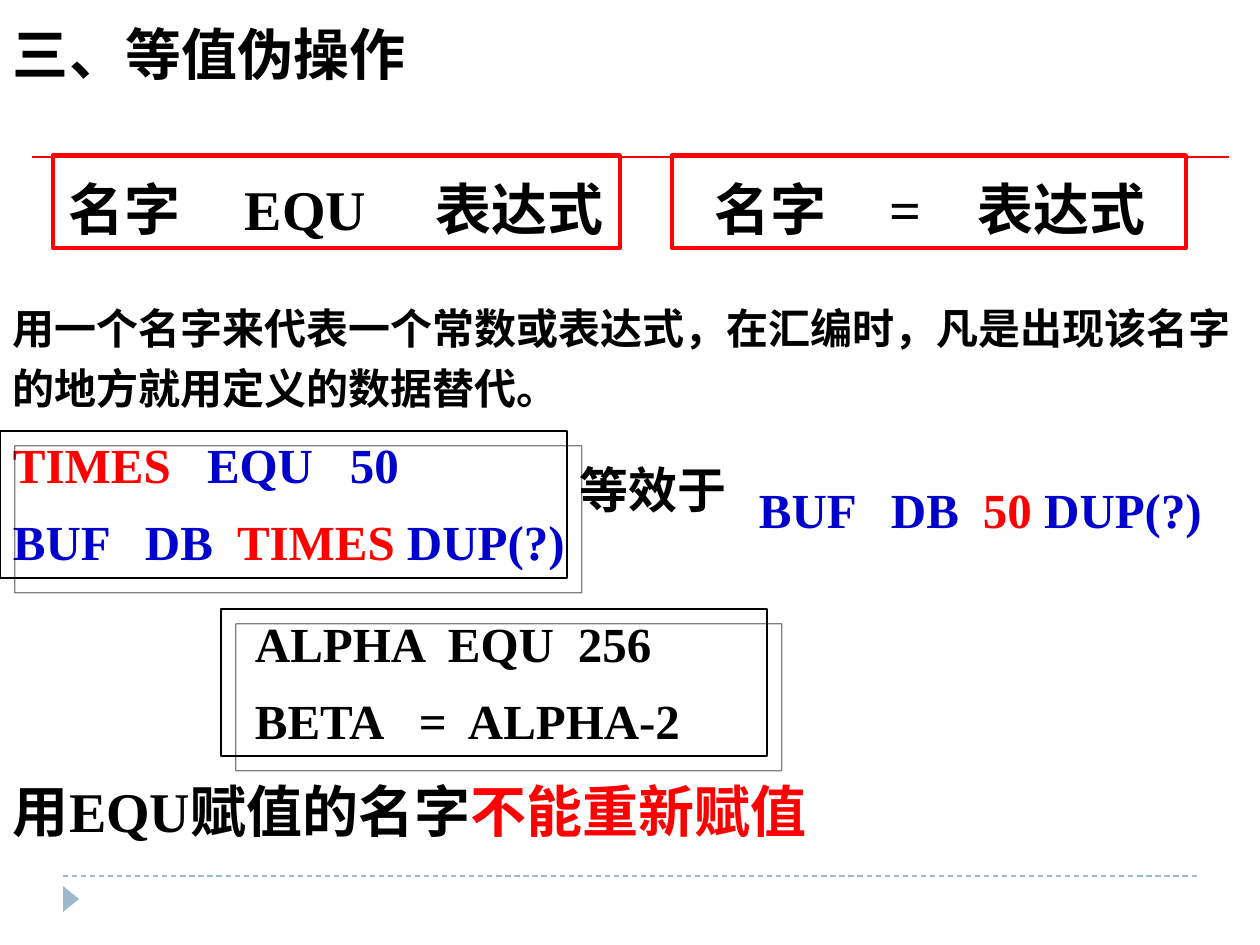
import pptx
import pptx.dml.color
import pptx.enum.dml
import pptx.enum.shapes
import pptx.enum.text
import pptx.oxml.ns
import pptx.util
from lxml import etree

EMU_PER_PX = 914400 / 126
BLACK, RED, BLUE, PALE_BLUE = "000000", "FF0000", "0000CC", "9FB8CD"


def px(length):
    return pptx.util.Emu(round(length * EMU_PER_PX))


def color(hex_string):
    return pptx.dml.color.RGBColor.from_string(hex_string)


def add_element(parent, tag, **attributes):
    element = etree.SubElement(parent, pptx.oxml.ns.qn(tag))
    for name, value in attributes.items():
        element.set(name, str(value))
    return element


class SlideBuilder:
    font_name = "Times New Roman"
    line_spacing = 1.2
    inset = 13

    def __init__(self, slide):
        self.slide = slide

    def fill_text(self, shape, lines, size, space=0, inset=None):
        """Fill a shape; each line is (tab stops, [(text, colour), ...])."""
        frame = shape.text_frame
        frame.word_wrap = True
        frame.auto_size = pptx.enum.text.MSO_AUTO_SIZE.NONE
        frame.vertical_anchor = pptx.enum.text.MSO_ANCHOR.TOP
        frame.margin_left = px(self.inset if inset is None else inset)
        frame.margin_right = px(self.inset if inset is None else 0)
        frame.margin_top = frame.margin_bottom = px(6)
        for index, (stops, pieces) in enumerate(lines):
            paragraph = frame.paragraphs[0] if index == 0 else frame.add_paragraph()
            if stops:
                tab_list = add_element(paragraph._p.get_or_add_pPr(), "a:tabLst")
                for stop in stops:
                    add_element(tab_list, "a:tab", pos=px(stop), algn="l")
            paragraph.alignment = pptx.enum.text.PP_ALIGN.LEFT
            paragraph.line_spacing = self.line_spacing
            paragraph.space_before = pptx.util.Pt(space if index else 0)
            for text, text_color in pieces:
                run = paragraph.add_run()
                run.text = text
                run.font.name = self.font_name
                run.font.size = pptx.util.Pt(size)
                run.font.bold = True
                run.font.color.rgb = color(text_color)

    def title(self, text, left, top, width, height):
        shape = self.slide.shapes.title
        shape.left, shape.top = px(left), px(top)
        shape.width, shape.height = px(width), px(height)
        self.fill_text(shape, [([], [(text, BLACK)])], 32)

    def text(self, lines, left, top, width, height, size=28, space=0):
        shape = self.slide.shapes.add_textbox(px(left), px(top), px(width), px(height))
        self.fill_text(shape, lines, size, space)

    def frame(self, left, top, width, height, line_color, line_width):
        shape = self.slide.shapes.add_shape(
            pptx.enum.shapes.MSO_SHAPE.RECTANGLE, px(left), px(top), px(width), px(height))
        shape.shadow.inherit = False
        shape.fill.background()
        shape.line.color.rgb = color(line_color)
        shape.line.width = pptx.util.Pt(line_width)
        return shape

    def syntax_box(self, left, width, text, stops, inset):
        shape = self.frame(left, 155, width, 93, RED, 2.25)
        self.fill_text(shape, [(stops, [(text, BLACK)])], 32, inset=inset)

    def shadow_frame(self, left, top, width, height):
        shape = self.frame(left, top, width, height, BLACK, 0.75)
        effects = shape._element.spPr.find(pptx.oxml.ns.qn("a:effectLst"))
        shadow = add_element(effects, "a:outerShdw", blurRad=0, dist=px(21),
                             dir=45 * 60000, algn="ctr", rotWithShape=0)
        shadow_color = add_element(shadow, "a:srgbClr", val=BLACK)
        add_element(shadow_color, "a:alpha", val=50000)

    def rule(self, left, right, y, line_color, dashed=False):
        line = self.slide.shapes.add_connector(
            pptx.enum.shapes.MSO_CONNECTOR.STRAIGHT, px(left), px(y), px(right), px(y))
        line.line.color.rgb = color(line_color)
        line.line.width = pptx.util.Pt(0.75)
        if dashed:
            line.line.dash_style = pptx.enum.dml.MSO_LINE.DASH
        add_element(line._element.spPr, "a:effectLst")

    def page_marker(self, left, top, width, height):
        shape = self.slide.shapes.add_shape(
            pptx.enum.shapes.MSO_SHAPE.ISOSCELES_TRIANGLE,
            px(left), px(top), px(width), px(height))
        shape.rotation = 90
        shape.shadow.inherit = False
        shape.fill.solid()
        shape.fill.fore_color.rgb = color(PALE_BLUE)
        shape.line.fill.background()


def main():
    presentation = pptx.Presentation()
    presentation.slide_width, presentation.slide_height = px(1260), px(945)
    builder = SlideBuilder(presentation.slides.add_slide(presentation.slide_layouts[5]))

    builder.rule(63, 1197, 876, PALE_BLUE, dashed=True)
    builder.page_marker(58, 891, 26, 16)
    builder.rule(32, 1229, 157, RED)
    builder.title("三、等值伪操作", 0, 0, 1260, 93)

    builder.syntax_box(53, 567, "名字\tEQU\t表达式", [176, 367], 16)
    builder.syntax_box(672, 514, "名字\t=\t表达式", [175, 263], 43)

    definition = "用一个名字来代表一个常数或表达式，在汇编时，凡是出现该名字的地方就用定义的数据替代。"
    builder.text([([], [(definition, BLACK)])], 0, 286, 1260, 134, size=24)
    builder.text([([], [("用EQU赋值的名字", BLACK), ("不能重新赋值", RED)])],
                 0, 757, 1260, 93, size=32)

    buffer_stops = [132, 224]
    builder.text([
        ([194, 337], [("TIMES\t", RED), ("EQU\t50", BLUE)]),
        (buffer_stops, [("BUF\tDB\t", BLUE), ("TIMES ", RED), ("DUP(?)", BLUE)]),
    ], 0, 417, 588, 160, space=3.5)
    builder.text([([], [("等效于", BLACK)])], 567, 442, 189, 83)
    builder.text([(buffer_stops, [("BUF\tDB\t", BLUE), ("50 ", RED), ("DUP(?)", BLUE)])],
                 746, 462, 483, 83)
    builder.text([
        ([193, 323], [("ALPHA\tEQU\t256", BLACK)]),
        ([164, 213], [("BETA\t=\tALPHA-2", BLACK)]),
    ], 242, 596, 588, 160, space=3.5)

    builder.shadow_frame(0, 431, 567, 147)
    builder.shadow_frame(221, 609, 546, 147)
    presentation.save("out.pptx")


if __name__ == "__main__":
    main()
